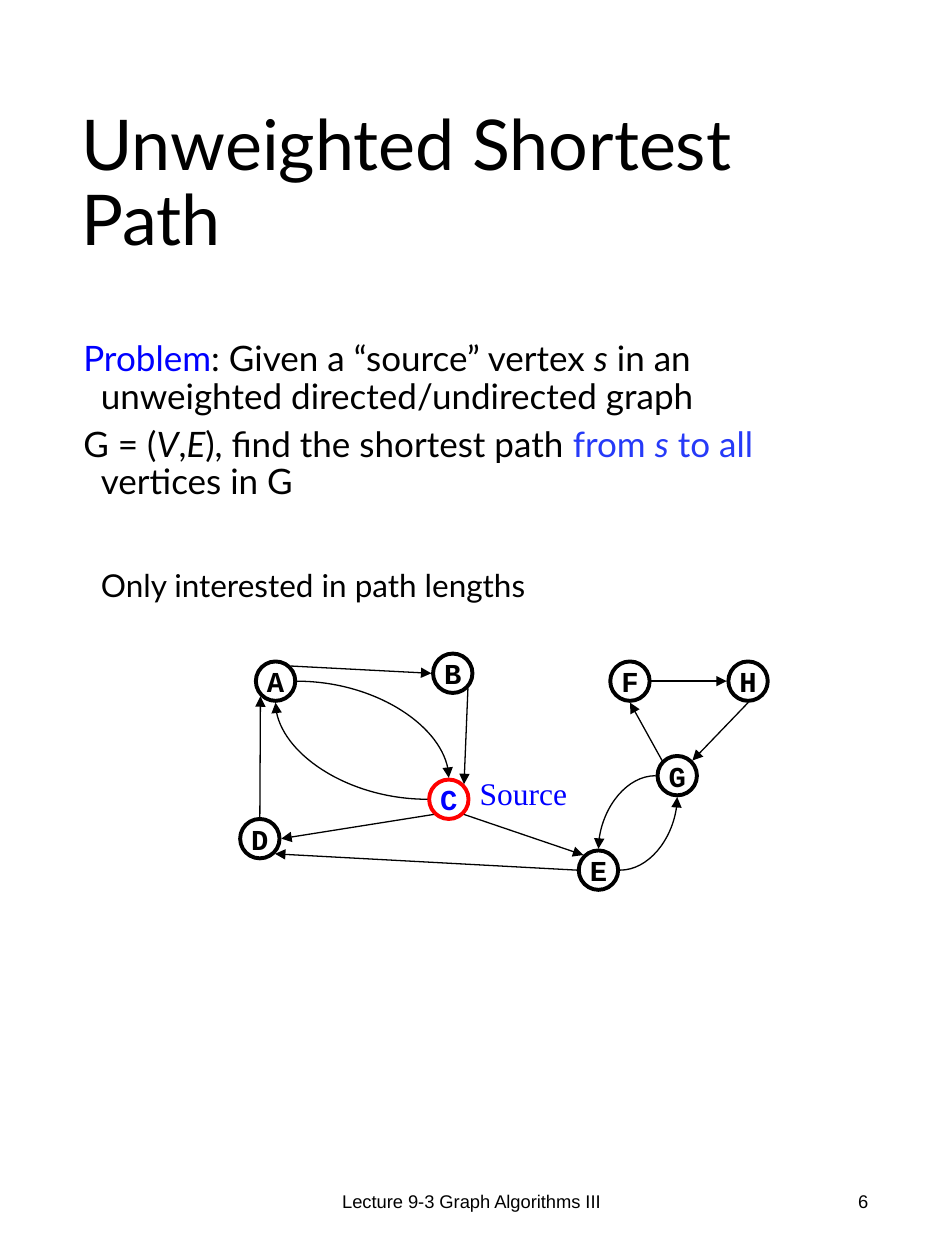
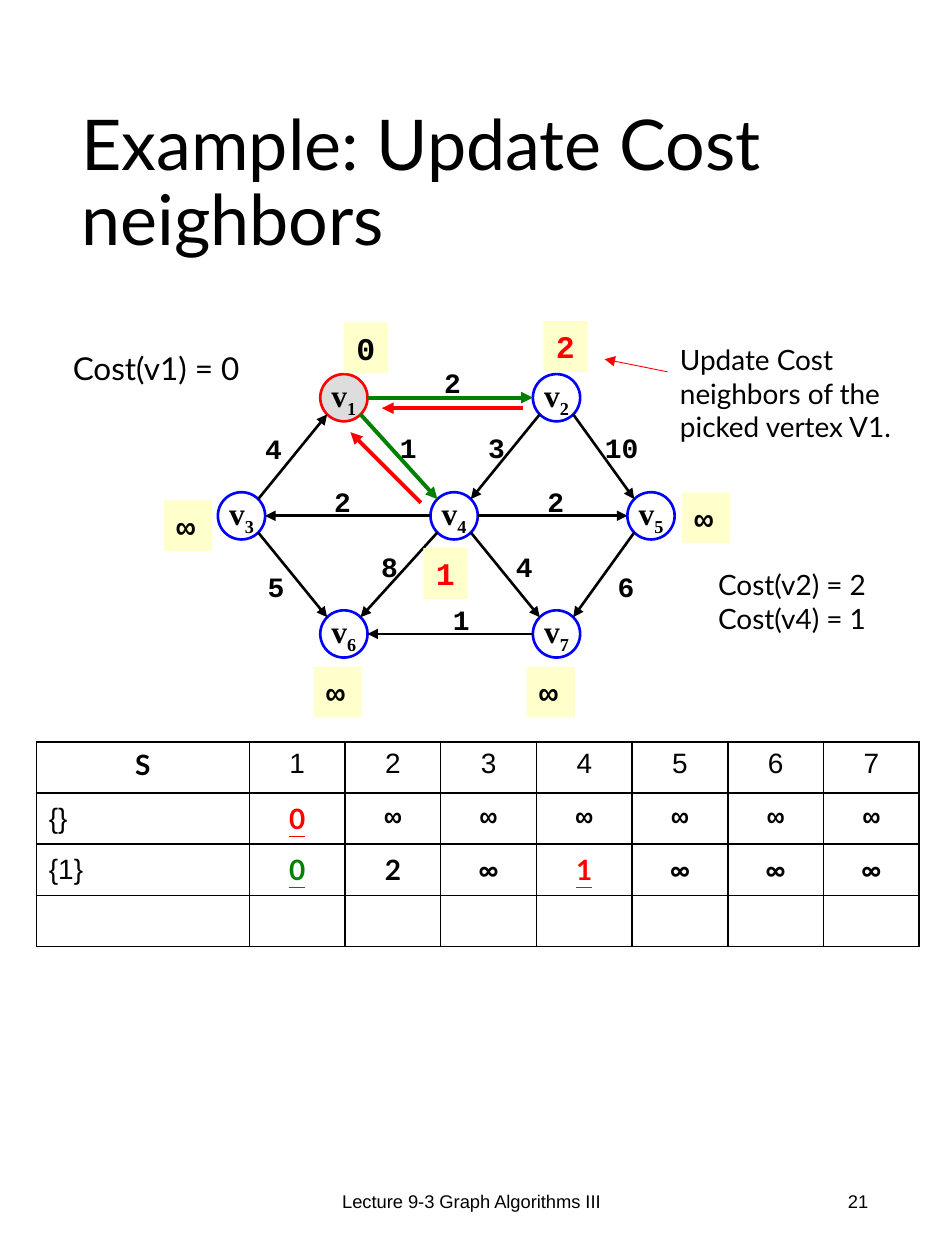
from math import sqrt
from lxml.etree import SubElement
from pptx import Presentation
from pptx.dml.color import RGBColor
from pptx.enum.shapes import MSO_CONNECTOR, MSO_SHAPE
from pptx.enum.text import MSO_ANCHOR, PP_ALIGN
from pptx.oxml.ns import qn
from pptx.util import Pt

LINE, CURVE = MSO_CONNECTOR.STRAIGHT, MSO_CONNECTOR.CURVE
OVAL, RECT = MSO_SHAPE.OVAL, MSO_SHAPE.RECTANGLE
MID, TOP = MSO_ANCHOR.MIDDLE, MSO_ANCHOR.TOP
LEFT, MIDST, RIGHT = PP_ALIGN.LEFT, PP_ALIGN.CENTER, PP_ALIGN.RIGHT

COLORS = {
    "black": "000000", "white": "FFFFFF", "blue": "0000FF", "sky": "263AF8",
    "red": "FF0000", "green": "008000", "gray": "DDDDDD", "cream": "FFFFCC",
}
STYLES = {
    "title": {"name": "Lato", "size": Pt(40)},
    "body": {"name": "Lato", "size": Pt(20)},
    "note": {"name": "Lato", "size": Pt(18)},
    "small": {"name": "Lato", "size": Pt(16)},
    "foot": {"name": "Arial", "size": Pt(10.5)},
    "source": {"name": "Times New Roman", "size": Pt(18)},
    "letter": {"name": "Courier New", "size": Pt(16.5), "bold": True},
    "vertex": {"name": "Times New Roman", "size": Pt(18), "bold": True},
    "weight": {"name": "Courier New", "size": Pt(16), "bold": True},
    "cost": {"name": "Courier New", "size": Pt(18), "bold": True},
    "head": {"name": "Lato", "size": Pt(16), "bold": True},
    "cell": {"name": "Arial", "size": Pt(16), "bold": False},
    "pick": {"name": "Lato", "size": Pt(16), "bold": True, "underline": True},
}
ITALIC = {"italic": True}
SUB = {"base": "-25000"}
FOOTER = "Lecture 9-3 Graph Algorithms III"

PROBLEM = [
    [("Problem", {"color": "blue"}), ": Given a “source” vertex ", ("s", ITALIC),
     " in an unweighted directed/undirected graph"],
    ["G = (", ("V", ITALIC), ",", ("E", ITALIC), "), find the shortest path ",
     ("from ", {"color": "sky"}), ("s", {"color": "sky", "italic": True}),
     (" to all ", {"color": "sky"}), "vertices in G"],
]
LETTERS = {
    "A": (157.5, 389.25), "B": (258.75, 384.75), "C": (256.5, 456.75),
    "D": (148.5, 479.25), "E": (342, 497.25), "F": (360, 389.25),
    "G": (387, 443.25), "H": (427.5, 389.25),
}
PATHS = [
    ("A", "ne", "B", "w", LINE), ("B", "se", "C", "ne", LINE),
    ("A", "e", "C", "n", CURVE), ("C", "w", "A", "s", CURVE),
    ("C", "sw", "D", "e", LINE), ("D", "n", "A", "sw", LINE),
    ("C", "se", "E", "nw", LINE), ("E", "w", "D", "se", LINE),
    ("G", "nw", "F", "s", LINE), ("F", "e", "H", "w", LINE),
    ("H", "s", "G", "ne", LINE), ("G", "w", "E", "n", CURVE),
    ("E", "e", "G", "s", CURVE),
]

ROWS = [227.25 + 67.5 * i for i in range(3)]
VERTS = {
    "1": (196.5, ROWS[0]), "2": (318, ROWS[0]), "3": (138, ROWS[1]),
    "4": (259.5, ROWS[1]), "5": (372, ROWS[1]), "6": (196.5, ROWS[2]),
    "7": (318, ROWS[2]),
}
EDGES = [
    ("7", "w", "6", "e", "black"), ("4", "w", "3", "e", "black"),
    ("1", "e", "2", "w", "green"), ("4", "e", "5", "w", "black"),
    ("2", "se", "5", "nw", "black"), ("5", "sw", "7", "ne", "black"),
    ("1", "se", "4", "nw", "green"), ("2", "sw", "4", "ne", "black"),
    ("3", "ne", "1", "sw", "black"), ("3", "se", "6", "nw", "black"),
    ("4", "se", "7", "nw", "black"), ("4", "sw", "6", "ne", "black"),
]
WEIGHTS = [
    ("4", 156.25, 256), ("1", 233.25, 255.5), ("2", 258.5, 218.5),
    ("10", 355.25, 255.5), ("3", 283.75, 255.5), ("6", 357.75, 335),
    ("4", 299.5, 323.5), ("2", 317.5, 286.25), ("2", 195.75, 286.25),
    ("8", 222.5, 323.5), ("5", 157.75, 335), ("1", 263.5, 354),
]
COSTS = [
    ("0", 196.5, 184.25, "black"), ("2", 310.5, 183.5, "red"),
    ("∞", 93.75, 286, "black"), ("∞", 389.75, 281.5, "black"),
    ("1", 242, 313.25, "red"), ("∞", 179.25, 381, "black"),
    ("∞", 301, 381, "black"),
]
HINTS = [
    ((240.5, 287.25), (200.25, 247), 2.25),
    ((298.75, 233.25), (218.25, 233.25), 2.25),
    ((381.5, 212.5), (345.5, 205.25), 0.5),
]
GRID = [
    [("S", "head")] + [(str(i), "cell") for i in range(1, 8)],
    [("{}", "cell"), ("0", "pick", "red")] + [("∞", "weight")] * 6,
    [("{1}", "cell"), ("0", "pick", "green"), ("2", "head"), ("∞", "head"),
     ("1", "pick", "red")] + [("∞", "head")] * 3,
    [("", "cell")] * 8,
]


def rgb(color):
    return RGBColor.from_string(COLORS[color])


def write(frame, paras, style, color="black", align=LEFT, anchor=TOP, wrap=True, **extra):
    frame.word_wrap = wrap
    frame.vertical_anchor = anchor
    fill_text(frame, paras, style, color, align, **extra)


def fill_text(frame, paras, style, color, align, space=0, lead=None, hang=0):
    for i, runs in enumerate(paras):
        para = frame.add_paragraph() if i else frame.paragraphs[0]
        para.alignment = align
        if lead:
            para.line_spacing = lead
        if i and space:
            para.space_before = Pt(space)
        if hang:
            prop = para._p.get_or_add_pPr()
            prop.set("marL", str(Pt(hang)))
            prop.set("indent", str(-Pt(hang)))
        for item in runs:
            text, over = (item, {}) if isinstance(item, str) else item
            run = para.add_run()
            run.text = text
            look = {"color": color, **STYLES[style], **over}
            run.font.color.rgb = rgb(look.pop("color"))
            base = look.pop("base", None)
            for key, value in look.items():
                setattr(run.font, key, value)
            if base:
                run._r.get_or_add_rPr().set("baseline", base)


def label(slide, box, paras, style, **extra):
    shape = slide.shapes.add_textbox(*map(Pt, box))
    write(shape.text_frame, paras, style, **extra)


def block(slide, kind, box, fill=None, line=None, width=0):
    shape = slide.shapes.add_shape(kind, *map(Pt, box))
    shape.shadow.inherit = False
    if fill:
        shape.fill.solid()
        shape.fill.fore_color.rgb = rgb(fill)
    else:
        shape.fill.background()
    if line:
        shape.line.color.rgb = rgb(line)
        shape.line.width = Pt(width)
    else:
        shape.line.fill.background()
    return shape.text_frame


def node(slide, spot, rad, runs, style, color="black", **look):
    x, y = spot
    frame = block(slide, OVAL, (x - rad, y - rad, 2 * rad, 2 * rad), **look)
    write(frame, [runs], style, color, MIDST, MID, False)


def port(spot, side, rad):
    dx = ("e" in side) - ("w" in side)
    dy = ("s" in side) - ("n" in side)
    reach = rad / sqrt(dx * dx + dy * dy)
    return spot[0] + dx * reach, spot[1] + dy * reach


def arrow(slide, start, end, color, width, kind=LINE):
    link = slide.shapes.add_connector(kind, *map(Pt, start + end))
    link.line.color.rgb = rgb(color)
    link.line.width = Pt(width)
    SubElement(link.line._get_or_add_ln(), qn("a:tailEnd"), type="triangle")
    prop = link._element.spPr
    SubElement(prop, qn("a:effectLst"))
    if kind == CURVE:
        prop.find(qn("a:prstGeom")).set("prst", "curvedConnector2")


def page(deck, title, number):
    slide = deck.slides.add_slide(deck.slide_layouts[6])
    label(slide, (39.5, 36.5, 466, 139), [[title]], "title", anchor=MID, lead=0.9)
    label(slide, (178.5, 667.5, 182, 38), [[FOOTER]], "foot", align=MIDST, anchor=MID)
    label(slide, (381.5, 667.5, 121.75, 38), [[number]], "foot", align=RIGHT, anchor=MID)
    return slide


def edge_cell(cell):
    prop = cell._tc.get_or_add_tcPr()
    for i, side in enumerate(("lnL", "lnR", "lnT", "lnB")):
        line = prop.makeelement(qn("a:" + side), {"w": str(Pt(1))})
        paint = SubElement(line, qn("a:solidFill"))
        SubElement(paint, qn("a:srgbClr"), val=COLORS["black"])
        prop.insert(i, line)


def cost_table(slide):
    wide, col, high = 121.75, 54.7, 29.2
    table = slide.shapes.add_table(
        len(GRID), 8, Pt(20.75), Pt(424), Pt(wide + 7 * col), Pt(4 * high)).table
    for i, column in enumerate(table.columns):
        column.width = Pt(col if i else wide)
    for r, row in enumerate(GRID):
        table.rows[r].height = Pt(high)
        for c, (text, style, *color) in enumerate(row):
            cell = table.cell(r, c)
            cell.fill.solid()
            cell.fill.fore_color.rgb = rgb("white")
            edge_cell(cell)
            cell.vertical_anchor = MID if r else TOP
            if text:
                align = LEFT if r and not c else MIDST
                fill_text(cell.text_frame, [[text]], style, *(color or ["black"]), align)


def path_page(deck):
    slide = page(deck, "Unweighted Shortest Path", "6")
    label(slide, (40.5, 191.5, 459, 361.5), PROBLEM, "body", space=5.7, lead=0.9, hang=10)
    rad = 11.25
    for name, spot in LETTERS.items():
        root = name == "C"
        node(slide, spot, rad, [name], "letter", "blue" if root else "black",
             fill="white", line="red" if root else "black", width=2.25)
    for a, out, b, into, kind in PATHS:
        arrow(slide, port(LETTERS[a], out, rad + 1), port(LETTERS[b], into, rad + 1),
              "black", 0.75, kind)
    label(slide, (267, 438.5, 65, 29), [["Source"]], "source", color="blue", wrap=False)
    label(slide, (5.75, 319.75, 346.5, 29), [["Only interested in path lengths"]], "note",
          align=MIDST, anchor=MID)


def cost_page(deck):
    slide = page(deck, "Example: Update Cost neighbors", "21")
    rad = 13.5
    for name, spot in VERTS.items():
        look = {"fill": "gray", "line": "red"} if name == "1" else {"line": "blue"}
        node(slide, spot, rad, ["v", (name, SUB)], "vertex", width=1.5, **look)
    for a, out, b, into, color in EDGES:
        arrow(slide, port(VERTS[a], out, rad), port(VERTS[b], into, rad),
              color, 2.25 if color == "green" else 1.5)
    for text, x, y in WEIGHTS:
        wide = 14.5 + 9.75 * len(text)
        label(slide, (x - wide / 2, y - 13.25, wide, 26.5), [[text]], "weight",
              align=MIDST, anchor=MID, wrap=False)
    for text, x, y, color in COSTS:
        frame = block(slide, RECT, (x, y, 27.5 if text == "∞" else 25.25, 29), "cream")
        write(frame, [[text]], "cost", color, wrap=False)
    for start, end, width in HINTS:
        arrow(slide, start, end, "red", width)
    label(slide, (34.5, 195.75, 126, 29), [["Cost(v1) = 0"]], "note")
    label(slide, (381.5, 192.25, 163.5, 65.5),
          [["Update Cost neighbors of the picked vertex V1."]], "small")
    label(slide, (403.25, 321, 120, 46), [["Cost(v2) = 2"], ["Cost(v4) = 1"]], "small")
    cost_table(slide)


def main():
    deck = Presentation()
    deck.slide_width, deck.slide_height = Pt(540), Pt(720)
    path_page(deck)
    cost_page(deck)
    deck.save("out.pptx")


if __name__ == "__main__":
    main()
